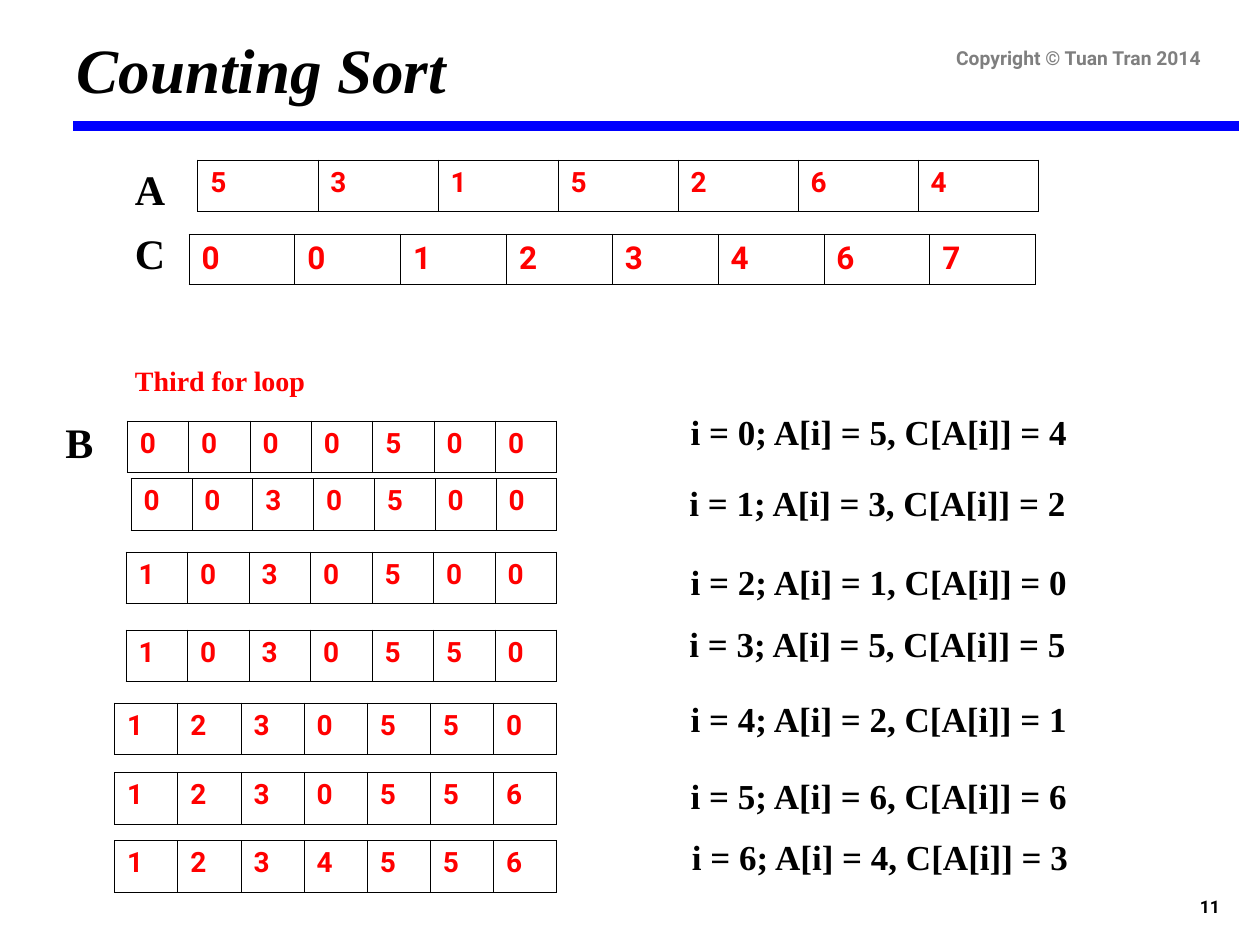
"""Build the Counting Sort slide showing each step of the third for loop."""
from dataclasses import dataclass

from lxml import etree
from pptx import Presentation
from pptx.dml.color import RGBColor
from pptx.enum import shapes, text
from pptx.oxml import ns
from pptx.util import Inches, Pt

COLORS = {"ink": "000000", "value": "FF0000", "rule": "0000FF", "copyright": "7F7F7F"}
SERIF, SANS = "Times New Roman", "Roboto"
LEFT, RIGHT = text.PP_ALIGN.LEFT, text.PP_ALIGN.RIGHT
TOP, BOTTOM = text.MSO_ANCHOR.TOP, text.MSO_ANCHOR.BOTTOM
ROW_H = 0.41
B_RIGHT = 4.42


@dataclass(frozen=True)
class Label:
    text: str
    left: float
    top: float
    width: float
    height: float
    size: float
    font: str = SERIF
    color: str = "ink"
    italic: bool = False
    align: text.PP_ALIGN = RIGHT
    anchor: text.MSO_ANCHOR = TOP
    wrap: bool = True
    right_inset: float = 0.1


@dataclass(frozen=True)
class Array:
    values: str
    left: float
    top: float
    width: float
    height: float = ROW_H
    size: float = 16


@dataclass(frozen=True)
class Step:
    b: str
    b_left: float
    b_top: float
    count: int
    note_left: float
    note_top: float
    note_right: float = 8.71


A = Array("5315264", 1.57, 1.27, 6.67)
C = Array("00123467", 1.5, 1.86, 6.72, 0.4, 18)

STEPS = [
    Step("0000500", 1.01, 3.34, 4, 4.67, 3.21),
    Step("0030500", 1.04, 3.8, 2, 4.7, 3.77, 8.7),
    Step("1030500", 1, 4.38, 0, 4.67, 4.4),
    Step("1030550", 1, 5, 5, 4.83, 4.89, 8.7),
    Step("1230550", 0.91, 5.58, 1, 4.88, 5.49),
    Step("1230556", 0.91, 6.13, 6, 4.88, 6.1),
    Step("1234556", 0.91, 6.67, 3, 4.89, 6.58, 8.72),
]

LABELS = [
    Label("11", 7.7, 6.83, 2.08, 0.5, 10, SANS, anchor=BOTTOM),
    Label("Counting Sort", 0.51, 0.19, 3.13, 1.3, 36, italic=True, align=LEFT, wrap=False),
    Label("Copyright © Tuan Tran 2014", 6.46, 0.33, 3.17, 0.27, 11, SANS, "copyright",
          anchor=BOTTOM),
    Label("Third for loop", 0.31, 2.84, 2.21, 0.37, 16, color="value"),
    Label("A", 0.91, 1.25, 0.5, 0.5, 24),
    Label("B", 0.34, 3.26, 0.5, 0.5, 24),
    Label("C", 0.91, 1.76, 0.5, 0.5, 24),
]


def style_run(p, size: float, font: str, color: str, italic: bool = False) -> None:
    r = p.runs[0]
    r.font.size = Pt(size)
    r.font.name = font
    r.font.bold = True
    r.font.italic = italic
    r.font.color.rgb = RGBColor.from_string(COLORS[color])


def add_label(s, label: Label) -> None:
    box = (label.left, label.top, label.width, label.height)
    tf = s.shapes.add_textbox(*map(Inches, box)).text_frame
    tf.word_wrap = label.wrap
    tf.vertical_anchor = label.anchor
    tf.margin_right = Inches(label.right_inset)
    p = tf.paragraphs[0]
    p.text = label.text
    p.alignment = label.align
    style_run(p, label.size, label.font, label.color, label.italic)


def add_borders(cell) -> None:
    props = cell._tc.get_or_add_tcPr()
    for i, side in enumerate(("lnL", "lnR", "lnT", "lnB")):
        line = etree.Element(ns.qn(f"a:{side}"), w=str(Pt(0.45)))
        fill = etree.SubElement(line, ns.qn("a:solidFill"))
        etree.SubElement(fill, ns.qn("a:srgbClr"), val=COLORS["ink"])
        props.insert(i, line)


def add_array(s, array: Array) -> None:
    box = (array.left, array.top, array.width, array.height)
    table = s.shapes.add_table(1, len(array.values), *map(Inches, box)).table
    table.first_row = table.horz_banding = False
    for column, cell, value in zip(table.columns, table.rows[0].cells, array.values):
        column.width = Inches(array.width / len(array.values))
        cell.fill.background()
        add_borders(cell)
        cell.text_frame.text = value
        style_run(cell.text_frame.paragraphs[0], array.size, SANS, "value")


def add_step(s, index: int, step: Step) -> None:
    add_array(s, Array(step.b, step.b_left, step.b_top, B_RIGHT - step.b_left))
    note = f"i = {index}; A[i] = {A.values[index]}, C[A[i]] = {step.count}"
    add_label(s, Label(note, step.note_left, step.note_top,
                       step.note_right - step.note_left, 0.44, 20, right_inset=0.24))


def add_rule(s) -> None:
    rule = s.shapes.add_connector(shapes.MSO_CONNECTOR.STRAIGHT,
                                  *map(Inches, (0.58, 1, 9.83, 1)))
    rule.line.color.rgb = RGBColor.from_string(COLORS["rule"])
    rule.line.width = Pt(6)
    etree.SubElement(rule._element.spPr, ns.qn("a:effectLst"))


def main() -> None:
    prs = Presentation()
    prs.slide_width, prs.slide_height = Inches(10), Inches(7.5)
    s = prs.slides.add_slide(prs.slide_layouts[6])
    add_rule(s)
    for label in LABELS:
        add_label(s, label)
    for array in (A, C):
        add_array(s, array)
    for index, step in enumerate(STEPS):
        add_step(s, index, step)
    prs.save("out.pptx")


if __name__ == "__main__":
    main()
